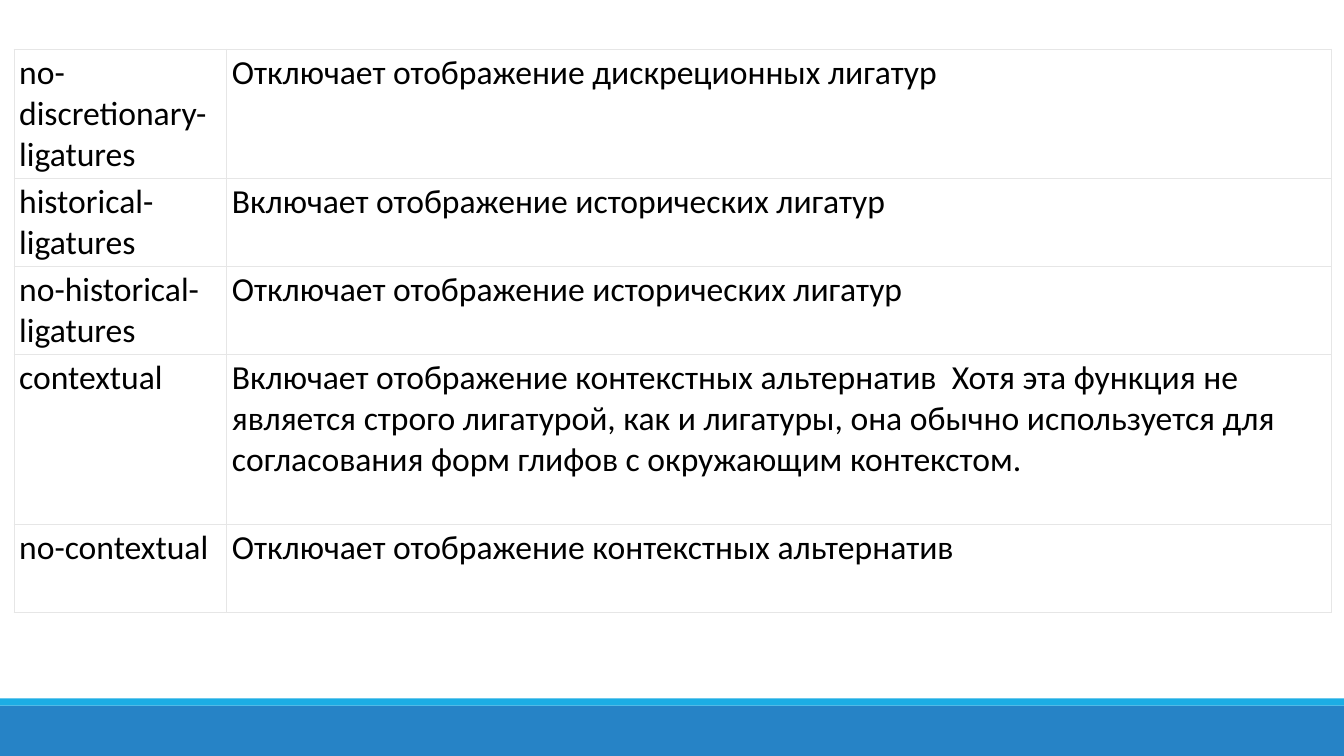
import pptx
import pptx.util
import pptx.dml.color
import pptx.enum.shapes
import pptx.oxml
import pptx.oxml.ns

LIGATURE_VALUES = [
    ("no-discretionary-ligatures", "Отключает отображение дискреционных лигатур", 3),
    ("historical-ligatures", "Включает отображение исторических лигатур", 2),
    ("no-historical-ligatures", "Отключает отображение исторических лигатур", 2),
    (
        "contextual",
        "Включает отображение контекстных альтернатив  Хотя эта функция не является "
        "строго лигатурой, как и лигатуры, она обычно используется для согласования "
        "форм глифов с окружающим контекстом.",
        4,
    ),
    ("no-contextual", "Отключает отображение контекстных альтернатив", 2),
]


def color(value):
    return pptx.dml.color.RGBColor.from_string(value)


def write_text(text_frame, text, font="Calibri", size=24, fill="000000"):
    paragraph = text_frame.paragraphs[0]
    run = paragraph.add_run()
    run.text = text
    run.font.name = font
    run.font.size = pptx.util.Pt(size)
    run.font.color.rgb = color(fill)


class SlideBuilder:
    border = "E6E6E6"
    border_width = 0.75
    cell_fill = "FFFFFF"
    side_margin = 0.05
    top_margin = 0.03
    line_height = 24 * 1.22 / 72

    def __init__(self, presentation):
        self.width = presentation.slide_width
        self.height = presentation.slide_height
        self.slide = presentation.slides.add_slide(presentation.slide_layouts[6])

    def across(self, share):
        return round(self.width * share)

    def down(self, share):
        return round(self.height * share)

    def band(self, top, height, fill):
        shape = self.slide.shapes.add_shape(
            pptx.enum.shapes.MSO_SHAPE.RECTANGLE,
            0, self.down(top), self.width, self.down(height),
        )
        shape.shadow.inherit = False
        shape.fill.solid()
        shape.fill.fore_color.rgb = color(fill)
        shape.line.fill.background()

    def table(self, left, top, column_shares, entries):
        widths = [self.across(share) for share in column_shares]
        heights = [
            pptx.util.Inches(lines * self.line_height + 2 * self.top_margin)
            for *_, lines in entries
        ]
        table = self.slide.shapes.add_table(
            len(entries), len(widths), self.across(left), self.down(top),
            sum(widths), sum(heights),
        ).table
        table.first_row = False
        table.horz_banding = False
        for column, width in zip(table.columns, widths):
            column.width = width
        for row, height, (*texts, _) in zip(table.rows, heights, entries):
            row.height = height
            for cell, text in zip(row.cells, texts):
                self.cell(cell, text)

    def cell(self, cell, text):
        cell.margin_left = cell.margin_right = pptx.util.Inches(self.side_margin)
        cell.margin_top = cell.margin_bottom = pptx.util.Inches(self.top_margin)
        properties = cell._tc.get_or_add_tcPr()
        for side in ("lnL", "lnR", "lnT", "lnB"):
            properties.append(pptx.oxml.parse_xml(
                f'<a:{side} {pptx.oxml.ns.nsdecls("a")} '
                f'w="{pptx.util.Pt(self.border_width)}"><a:solidFill>'
                f'<a:srgbClr val="{self.border}"/></a:solidFill></a:{side}>'
            ))
        cell.fill.solid()
        cell.fill.fore_color.rgb = color(self.cell_fill)
        write_text(cell.text_frame, text)


def main():
    presentation = pptx.Presentation()
    presentation.slide_width = pptx.util.Inches(13.33)
    presentation.slide_height = pptx.util.Inches(7.5)
    builder = SlideBuilder(presentation)
    builder.band(7 / 7.5, 0.5 / 7.5, "2683C6")
    builder.band(6.93 / 7.5, 0.07 / 7.5, "1CADE4")
    builder.table(0.14 / 13.33, 0.49 / 7.5, (2.11 / 13.33, 10.96 / 13.33), LIGATURE_VALUES)
    presentation.save("out.pptx")


if __name__ == "__main__":
    main()
